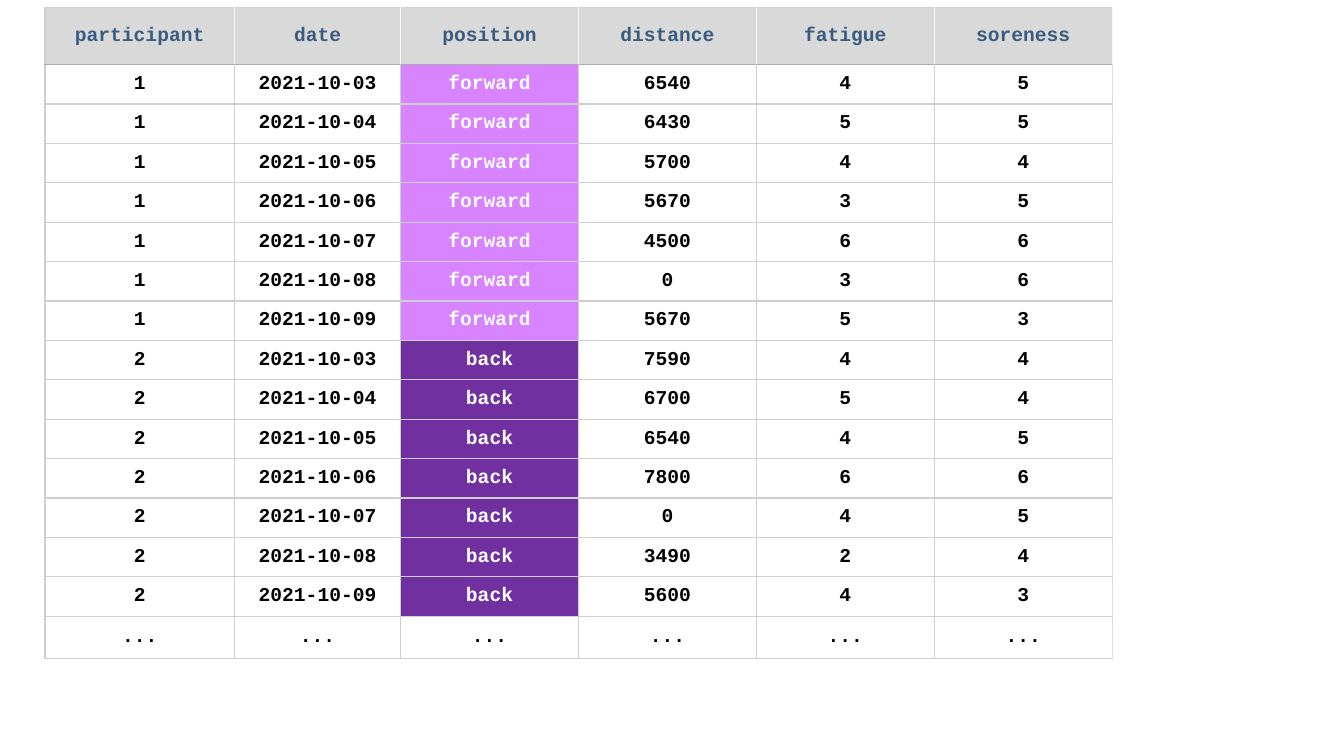
from dataclasses import dataclass

from lxml import etree
from pptx import Presentation
from pptx import util as u
from pptx.dml.color import RGBColor
from pptx.enum import text
from pptx.oxml import ns


@dataclass(frozen=True)
class Theme:
    font: str = "Courier New"
    size: float = 14
    line_width: float = 1
    ink: str = "000000"
    heading: str = "385C80"
    light_text: str = "FFFFFF"
    header_fill: str = "D9D9D9"
    forward_fill: str = "D883FF"
    back_fill: str = "7030A0"
    grid: str = "D0CECE"
    header_divider: str = "F7F5F5"
    header_rule: str = "AFABAB"
    right_edge: str = "DDDDDD"


HEADINGS = ["participant", "date", "position", "distance", "fatigue", "soreness"]
PLAYERS = [
    ("1", "forward", [(6540, 4, 5), (6430, 5, 5), (5700, 4, 4), (5670, 3, 5),
                      (4500, 6, 6), (0, 3, 6), (5670, 5, 3)]),
    ("2", "back", [(7590, 4, 4), (6700, 5, 4), (6540, 4, 5), (7800, 6, 6),
                   (0, 4, 5), (3490, 2, 4), (5600, 4, 3)]),
]
COLUMN_WIDTHS = [135.5, 118.6] + [127.1] * 4
HEADER_HEIGHT, DAY_HEIGHT, LAST_HEIGHT = 40.8, 28.15, 30.4
TABLE_LEFT, TABLE_TOP = 32.1, 5.3


def write_text(frame, words, *, font, size, color, bold=True):
    para = frame.paragraphs[0]
    para.alignment = text.PP_ALIGN.CENTER
    span = para.add_run()
    span.text = words
    span.font.name = font
    span.font.size = u.Pt(size)
    span.font.bold = bold
    span.font.color.rgb = RGBColor.from_string(color)


class SlideBuilder:
    def __init__(self, page, theme):
        self.page = page
        self.theme = theme

    def borders(self, cell, **colors):
        properties = cell._tc.get_or_add_tcPr()
        for side in "LRTB":
            line = etree.SubElement(properties, ns.qn(f"a:ln{side}"),
                                    w=str(u.Pt(self.theme.line_width)))
            solid = etree.SubElement(line, ns.qn("a:solidFill"))
            etree.SubElement(solid, ns.qn("a:srgbClr"), val=colors[side])

    def cell(self, cell, words, color, fill, borders):
        self.borders(cell, **borders)
        if fill:
            cell.fill.solid()
            cell.fill.fore_color.rgb = RGBColor.from_string(fill)
        else:
            cell.fill.background()
        cell.vertical_anchor = text.MSO_ANCHOR.MIDDLE
        write_text(cell.text_frame, words, font=self.theme.font,
                   size=self.theme.size, color=color)

    def cell_colors(self, row, words):
        theme = self.theme
        if row == 0:
            return theme.heading, theme.header_fill
        position_fills = {"forward": theme.forward_fill, "back": theme.back_fill}
        fill = position_fills.get(words)
        return (theme.light_text if fill else theme.ink), fill

    def cell_borders(self, row, column, last_column):
        theme = self.theme
        if row == 0:
            left = theme.header_divider if column else theme.grid
            return dict(L=left, R=theme.header_divider,
                        T=theme.grid, B=theme.header_rule)
        return dict(L=theme.grid, B=theme.grid,
                    R=theme.right_edge if column == last_column else theme.grid,
                    T=theme.header_rule if row == 1 else theme.grid)

    def table(self, rows, left, top, widths, heights):
        frame = self.page.shapes.add_table(
            len(rows), len(widths), u.Pt(left), u.Pt(top),
            u.Pt(sum(widths)), u.Pt(sum(heights)))
        table = frame.table
        table.first_row = table.horz_banding = False
        for column, width in zip(table.columns, widths):
            column.width = u.Pt(width)
        for row, height in zip(table.rows, heights):
            row.height = u.Pt(height)
        for r, row in enumerate(rows):
            for c, words in enumerate(row):
                color, fill = self.cell_colors(r, words)
                self.cell(table.cell(r, c), words, color, fill,
                          self.cell_borders(r, c, len(widths) - 1))


def training_rows():
    days = [
        [participant, f"2021-10-{day:02d}", position, *map(str, values)]
        for participant, position, records in PLAYERS
        for day, values in enumerate(records, start=3)
    ]
    return [HEADINGS, *days, ["..."] * len(HEADINGS)]


def main():
    deck = Presentation()
    deck.slide_width, deck.slide_height = u.Pt(960), u.Pt(540)
    page = deck.slides.add_slide(deck.slide_layouts.get_by_name("Blank"))
    rows = training_rows()
    heights = [HEADER_HEIGHT] + [DAY_HEIGHT] * (len(rows) - 2) + [LAST_HEIGHT]
    SlideBuilder(page, Theme()).table(rows, TABLE_LEFT, TABLE_TOP,
                                      COLUMN_WIDTHS, heights)
    deck.save("out.pptx")


if __name__ == "__main__":
    main()
